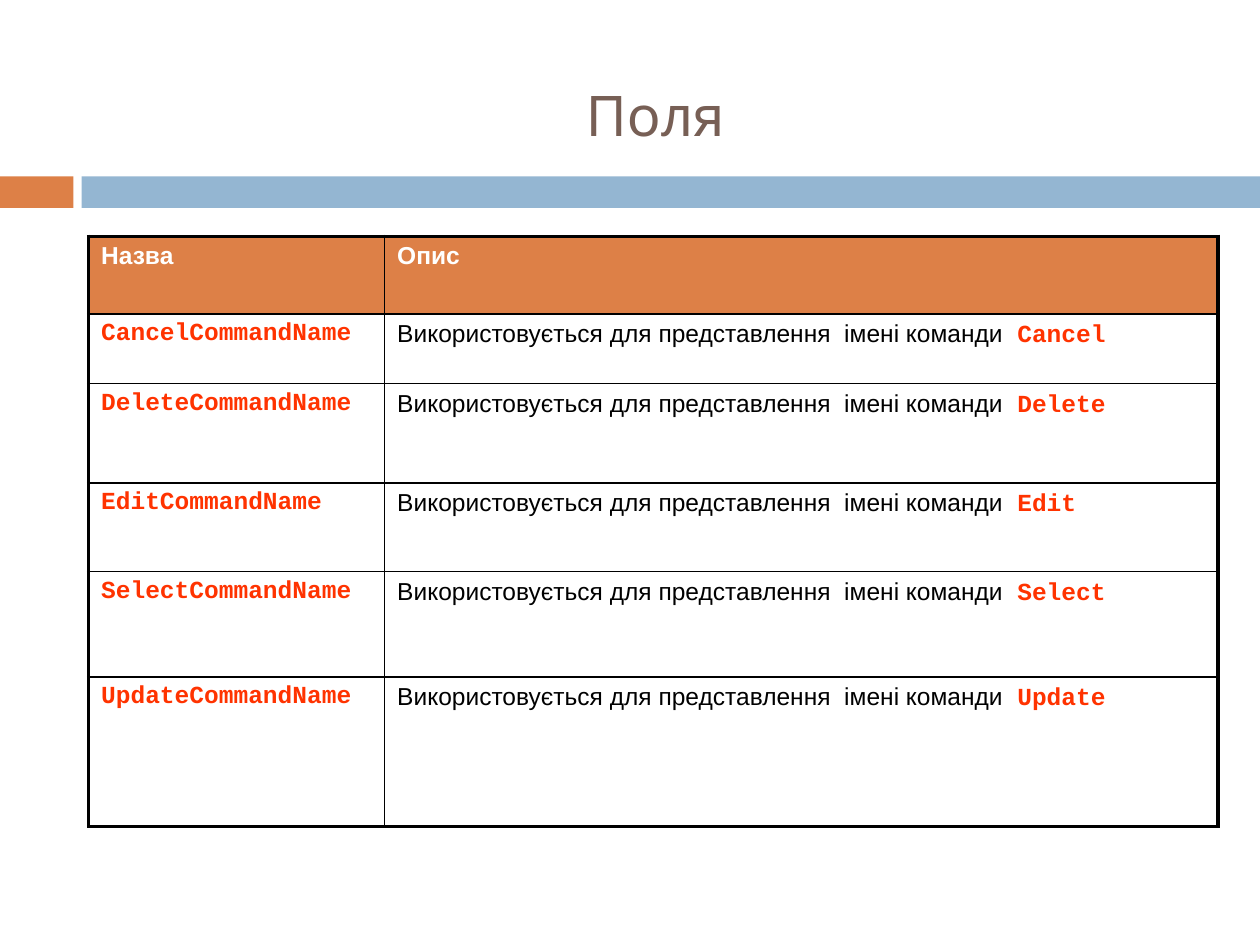
import pptx
import pptx.dml.color
import pptx.enum.shapes
import pptx.enum.text
import pptx.oxml
import pptx.oxml.ns
import pptx.util

Pt = pptx.util.Pt
RGBColor = pptx.dml.color.RGBColor

ORANGE = RGBColor(0xDD, 0x80, 0x47)
BLUE = RGBColor(0x94, 0xB6, 0xD2)
BROWN = RGBColor(0x77, 0x5F, 0x55)
RED = RGBColor(0xFF, 0x33, 0x00)
WHITE = RGBColor(0xFF, 0xFF, 0xFF)
BLACK = RGBColor(0x00, 0x00, 0x00)

OUTER, INNER = 2.25, 1
COL_WIDTHS = (169.2, 476.3)
ROW_HEIGHTS = (44.5, 39.7, 56.7, 50.7, 60.2, 85.5)
COMMANDS = ("Cancel", "Delete", "Edit", "Select", "Update")
DESCRIPTION = "Використовується для представлення  імені команди  "


def format_run(r, font, size, color, bold=False):
    r.font.name = font
    r.font.size = Pt(size)
    r.font.color.rgb = color
    r.font.bold = bold


def add_bar(s, left, width, color):
    sp = s.shapes.add_shape(pptx.enum.shapes.MSO_SHAPE.RECTANGLE,
                            Pt(left), Pt(100.8), Pt(width), Pt(18))
    sp.shadow.inherit = False
    sp.fill.solid()
    sp.fill.fore_color.rgb = color
    sp.line.fill.background()


def set_title(s, text):
    sp = s.shapes.title
    sp.left, sp.top, sp.width, sp.height = Pt(50.4), Pt(28), Pt(648), Pt(79.2)
    tf = sp.text_frame
    tf.text = text
    tf.auto_size = pptx.enum.text.MSO_AUTO_SIZE.NONE
    tf.vertical_anchor = pptx.enum.text.MSO_ANCHOR.MIDDLE
    p = tf.paragraphs[0]
    p.alignment = pptx.enum.text.PP_ALIGN.CENTER
    p.line_spacing = 0.9
    format_run(p.runs[0], "Cabin", 32, BROWN)


def set_borders(cell, widths):
    """Draw the cell borders; widths are for left, right, top, bottom."""
    tcPr = cell._tc.get_or_add_tcPr()
    for side, width in zip("LRTB", widths):
        tcPr.append(pptx.oxml.parse_xml(
            f'<a:ln{side} {pptx.oxml.ns.nsdecls("a")} w="{Pt(width)}">'
            f'<a:solidFill><a:srgbClr val="{BLACK}"/></a:solidFill></a:ln{side}>'))


def fill_cell(cell, parts, fill=None):
    """Write (text, font, color, bold) parts into a cell."""
    p = cell.text_frame.paragraphs[0]
    for text, font, color, bold in parts:
        r = p.add_run()
        r.text = text
        format_run(r, font, 14, color, bold)
    if fill is None:
        cell.fill.background()
    else:
        cell.fill.solid()
        cell.fill.fore_color.rgb = fill


def add_fields_table(s):
    n_rows, n_cols = len(ROW_HEIGHTS), len(COL_WIDTHS)
    table = s.shapes.add_table(n_rows, n_cols, Pt(50.6), Pt(135),
                               Pt(sum(COL_WIDTHS)), Pt(sum(ROW_HEIGHTS))).table
    table.first_row = table.horz_banding = False
    for col, width in zip(table.columns, COL_WIDTHS):
        col.width = Pt(width)
    for row, height in zip(table.rows, ROW_HEIGHTS):
        row.height = Pt(height)

    # Heavy frame, thin inner lines
    for i in range(n_rows):
        for j in range(n_cols):
            on_edge = (j == 0, j == n_cols - 1, i == 0, i == n_rows - 1)
            set_borders(table.cell(i, j), [OUTER if e else INNER for e in on_edge])

    # Header row
    for j, text in enumerate(("Назва", "Опис")):
        fill_cell(table.cell(0, j), [(text, "Arial", WHITE, True)], ORANGE)

    # One row for each command
    for i, command in enumerate(COMMANDS, start=1):
        fill_cell(table.cell(i, 0),
                  [(f"{command}CommandName", "Courier New", RED, True)])
        fill_cell(table.cell(i, 1), [(DESCRIPTION, "Arial", BLACK, False),
                                     (command, "Courier New", RED, True)])


def main():
    prs = pptx.Presentation()
    prs.slide_width, prs.slide_height = Pt(720), Pt(540)
    s = prs.slides.add_slide(prs.slide_layouts[5])

    # Band under the title
    add_bar(s, 0, 42, ORANGE)
    add_bar(s, 46.6, 673.4, BLUE)

    set_title(s, "Поля")
    add_fields_table(s)
    prs.save("out.pptx")


if __name__ == "__main__":
    main()
